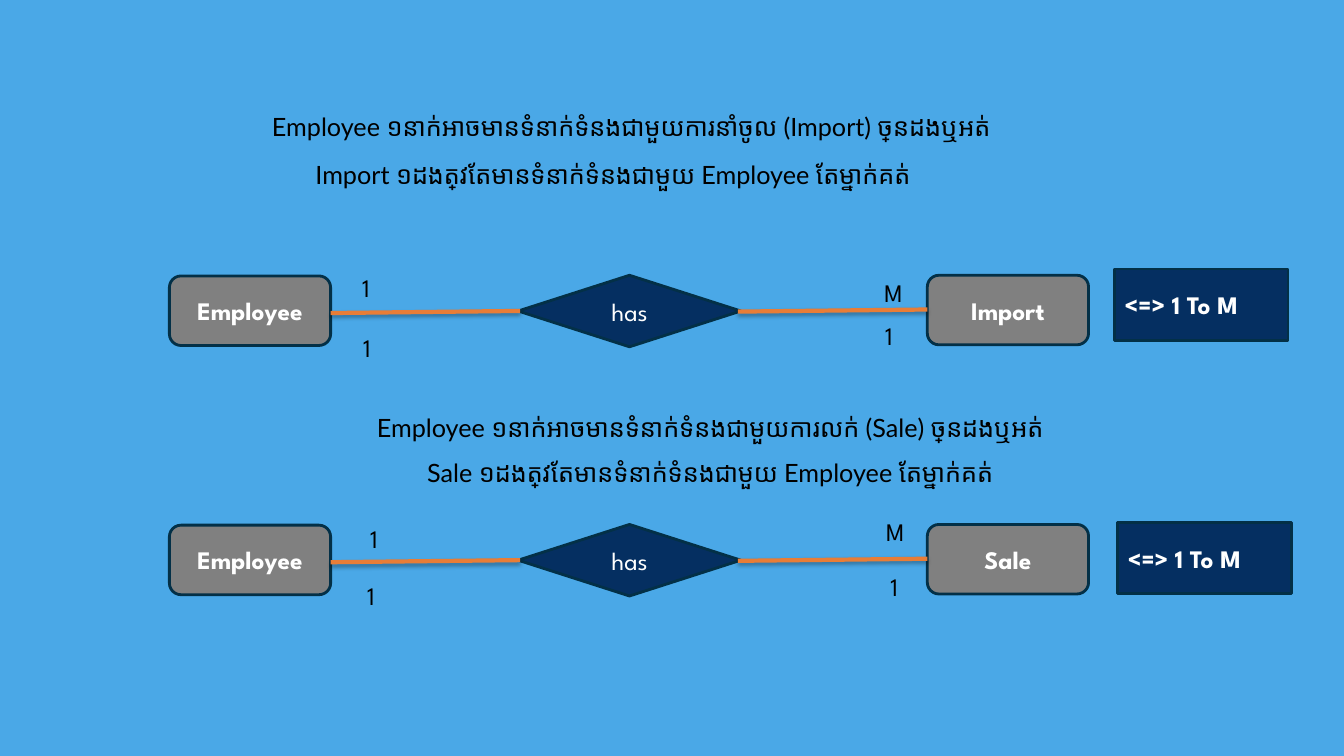
from dataclasses import dataclass

from lxml import etree
from pptx import Presentation
from pptx import util as u
from pptx.dml.color import RGBColor
from pptx.enum import shapes, text

Kind = shapes.MSO_SHAPE
Align = text.PP_ALIGN
Anchor = text.MSO_ANCHOR
Pt = u.Pt


@dataclass(frozen=True)
class Theme:
    sky: str = "4AA8E7"
    navy: str = "052F61"
    edge: str = "033047"
    gray: str = "808080"
    link: str = "E87D37"
    white: str = "FFFFFF"
    black: str = "000000"
    head: str = "League Spartan"
    body: str = "Lato"
    size: float = 18
    rim: float = 2
    thick: float = 3


@dataclass(frozen=True)
class Box:
    left: float
    top: float
    width: float
    height: float


@dataclass(frozen=True)
class Mark:
    word: str
    left: float
    top: float


@dataclass(frozen=True)
class Row:
    top: float
    right: str
    badge: tuple[float, float]
    marks: tuple[Mark, ...]


@dataclass(frozen=True)
class Note:
    words: str
    box: Box
    align: Align = Align.LEFT
    space: float = 1.0


theme = Theme()
deck = Presentation()
deck.slide_width, deck.slide_height = Pt(960), Pt(540)
slide = deck.slides.add_slide(deck.slide_layouts[6])


def place(box: Box) -> tuple:
    return Pt(box.left), Pt(box.top), Pt(box.width), Pt(box.height)


def apply(target, values: dict) -> None:
    for key, value in values.items():
        setattr(target, key, value)


def write(shape, words: str, color: str, font: str, align: Align,
          anchor: Anchor = Anchor.MIDDLE, bold: bool = False,
          space: float = 1.0) -> None:
    frame = shape.text_frame
    apply(frame, {"word_wrap": True, "vertical_anchor": anchor})
    line = frame.paragraphs[0]
    line.text = words
    apply(line, {"alignment": align, "line_spacing": space})
    for run in line.runs:
        apply(run.font, {"name": font, "size": Pt(theme.size), "bold": bold})
        run.font.color.rgb = RGBColor.from_string(color)


def block(kind: Kind, box: Box, fill: str, words: str = "",
          align: Align = Align.CENTER, bold: bool = True) -> None:
    shape = slide.shapes.add_shape(kind, *place(box))
    shape.shadow.inherit = False
    shape.fill.solid()
    shape.fill.fore_color.rgb = RGBColor.from_string(fill)
    if words:
        shape.line.color.rgb = RGBColor.from_string(theme.edge)
        shape.line.width = Pt(theme.rim)
        write(shape, words, theme.white, theme.head, align, bold=bold)
    else:
        shape.line.fill.background()


def label(words: str, box: Box, font: str, align: Align = Align.LEFT,
          space: float = 1.0) -> None:
    shape = slide.shapes.add_textbox(*place(box))
    write(shape, words, theme.black, font, align, Anchor.TOP, space=space)


def join(x1: float, y1: float, x2: float, y2: float) -> None:
    line = slide.shapes.add_connector(
        shapes.MSO_CONNECTOR.STRAIGHT, Pt(x1), Pt(y1), Pt(x2), Pt(y2))
    line.line.color.rgb = RGBColor.from_string(theme.link)
    line.line.width = Pt(theme.thick)
    space = "http://schemas.openxmlformats.org/drawingml/2006/main"
    line._element.spPr.append(etree.fromstring(
        f'<a:effectLst xmlns:a="{space}">'
        f'<a:outerShdw blurRad="{Pt(3.1)}" dist="{Pt(1.8)}" dir="5400000" '
        f'rotWithShape="0"><a:srgbClr val="{theme.black}">'
        '<a:alpha val="35000"/></a:srgbClr></a:outerShdw></a:effectLst>'))


def many(deed: str, name: str) -> str:
    return f"Employee ១នាក់អាចមានទំនាក់ទំនងជាមួយ{deed} ({name}) ច្រើនដងឬអត់"


def single(name: str) -> str:
    return f"{name} ១ដងត្រូវតែមានទំនាក់ទំនងជាមួយ Employee តែម្នាក់គត់"


def draw(row: Row) -> None:
    top = row.top
    block(Kind.ROUNDED_RECTANGLE, Box(121, top + 0.5, 115.2, 49.7),
          theme.gray, "Employee")
    block(Kind.FLOWCHART_DECISION, Box(370.1, top, 159.1, 51.1),
          theme.navy, "has", bold=False)
    block(Kind.ROUNDED_RECTANGLE, Box(662.4, top, 115.2, 49.7),
          theme.gray, row.right)
    join(236.2, top + 27, 371.5, top + 25.5)
    join(527, top + 26, 662.4, top + 24.5)
    block(Kind.RECTANGLE, Box(*row.badge, 123.8, 51.1),
          theme.navy, "<=> 1 To M", Align.LEFT)
    for mark in row.marks:
        label(mark.word, Box(mark.left, mark.top, 13, 29), theme.head)


notes = (
    Note(many("ការនាំចូល", "Import"), Box(187.2, 76.3, 639.4, 50.4)),
    Note(single("Import"), Box(218.2, 110.2, 577.4, 50.4)),
    Note(many("ការលក់", "Sale") + "\v" + single("Sale"),
         Box(175.7, 280.1, 663.1, 93.6), Align.CENTER, 1.5),
)
rows = (
    Row(196.6, "Import", (796.3, 192.2), (
        Mark("1", 252.7, 190.8), Mark("1", 253.4, 234),
        Mark("M", 625.7, 194.4), Mark("1", 626.4, 225.4))),
    Row(374.6, "Sale", (798.5, 373), (
        Mark("1", 258.5, 370.1), Mark("1", 256.3, 411.1),
        Mark("M", 627.1, 365), Mark("1", 630, 404.6))),
)

block(Kind.RECTANGLE, Box(0, 0, 960, 540), theme.sky)
for row in rows:
    draw(row)
for note in notes:
    label(note.words, note.box, theme.body, note.align, note.space)

deck.save("out.pptx")
